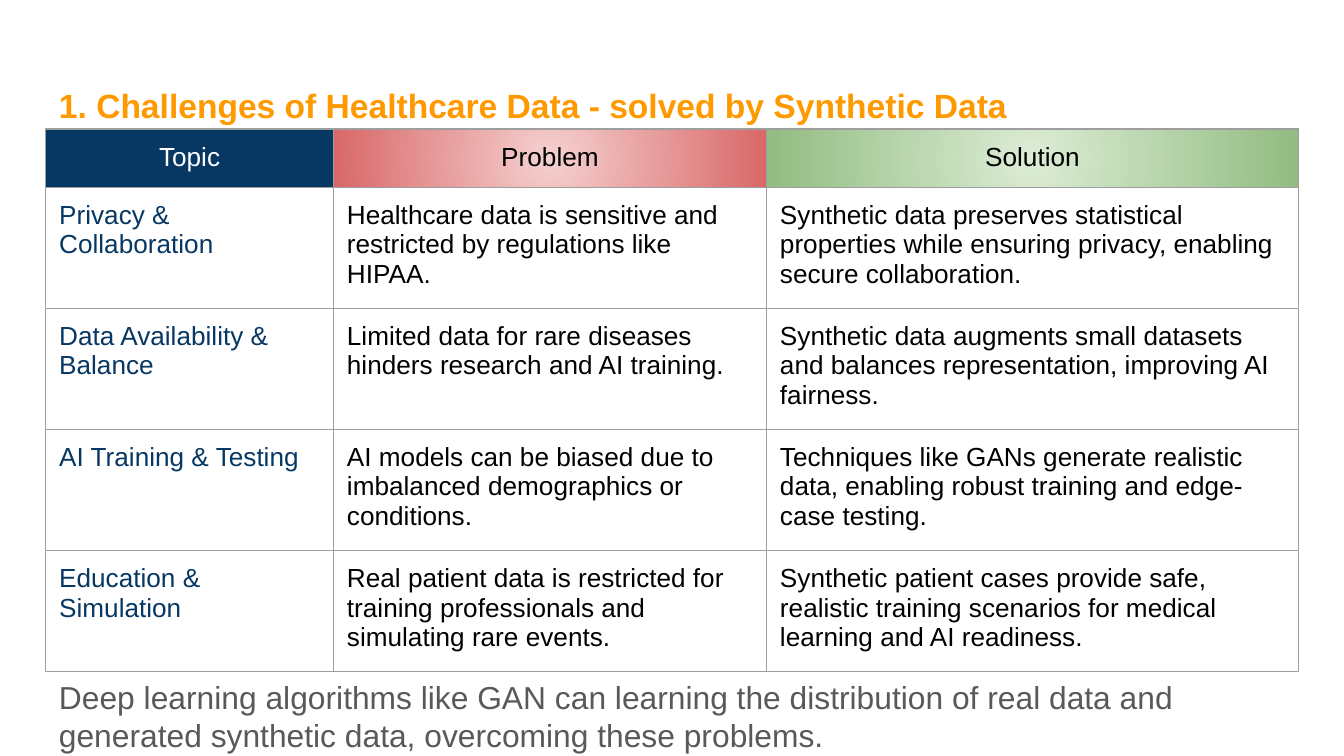
from pptx import Presentation
from pptx.dml.color import RGBColor
from pptx.enum.text import PP_ALIGN
from pptx.oxml import parse_xml
from pptx.oxml.ns import nsdecls
from pptx.util import Pt

NAVY = "073763"
BLACK = "000000"
BORDER = "9E9E9E"
INSET = Pt(7.2)


def add_text(text_frame, text, size, color, bold=False):
    """Write one run in the first paragraph and return that paragraph."""
    text_frame.word_wrap = True
    text_frame.margin_left = text_frame.margin_right = INSET
    text_frame.margin_top = text_frame.margin_bottom = INSET
    paragraph = text_frame.paragraphs[0]
    run = paragraph.add_run()
    run.text = text
    run.font.name = "Arial"
    run.font.size = Pt(size)
    run.font.bold = bold
    run.font.color.rgb = RGBColor.from_string(color)
    return paragraph


def style_cell(cell, fill):
    """Draw the borders, then fill with None, one colour or (centre, edge)."""
    properties = cell._tc.get_or_add_tcPr()
    for side in ("lnL", "lnR", "lnT", "lnB"):
        properties.append(parse_xml(
            f'<a:{side} {nsdecls("a")} w="{Pt(0.75)}"><a:solidFill>'
            f'<a:srgbClr val="{BORDER}"/></a:solidFill></a:{side}>'))
    if fill is None:
        cell.fill.background()
    elif isinstance(fill, str):
        cell.fill.solid()
        cell.fill.fore_color.rgb = RGBColor.from_string(fill)
    else:
        center, edge = fill
        properties.append(parse_xml(
            f'<a:gradFill {nsdecls("a")}><a:gsLst>'
            f'<a:gs pos="0"><a:srgbClr val="{center}"/></a:gs>'
            f'<a:gs pos="100000"><a:srgbClr val="{edge}"/></a:gs></a:gsLst>'
            '<a:path path="circle"><a:fillToRect l="50000" t="50000" '
            'r="50000" b="50000"/></a:path></a:gradFill>'))


presentation = Presentation()
presentation.slide_width = Pt(720)
presentation.slide_height = Pt(405)
slide = presentation.slides.add_slide(presentation.slide_layouts[6])

# Title
title = slide.shapes.add_textbox(Pt(24.5), Pt(35.3), Pt(671), Pt(45.4))
paragraph = add_text(title.text_frame,
                     "1. Challenges of Healthcare Data - solved by Synthetic Data",
                     18, "FF9900", bold=True)
paragraph.line_spacing = 1.15

# Table of challenges
rows = [
    ("Topic", "Problem", "Solution"),
    ("Privacy & Collaboration",
     "Healthcare data is sensitive and restricted by regulations like HIPAA.",
     "Synthetic data preserves statistical properties while ensuring privacy, "
     "enabling secure collaboration."),
    ("Data Availability & Balance",
     "Limited data for rare diseases hinders research and AI training.",
     "Synthetic data augments small datasets and balances representation, "
     "improving AI fairness."),
    ("AI Training & Testing",
     "AI models can be biased due to imbalanced demographics or conditions.",
     "Techniques like GANs generate realistic data, enabling robust training "
     "and edge-case testing."),
    ("Education & Simulation",
     "Real patient data is restricted for training professionals and "
     "simulating rare events.",
     "Synthetic patient cases provide safe, realistic training scenarios for "
     "medical learning and AI readiness."),
]
header_fills = [NAVY, ("F5D0D0", "D96868"), ("DCECD5", "92BC81")]
header_colors = ["FFFFFF", BLACK, BLACK]
body_colors = [NAVY, BLACK, BLACK]
column_widths = [154.2, 232, 285]
row_heights = [30.3] + [63.35] * 4

table = slide.shapes.add_table(len(rows), len(column_widths), Pt(24.5), Pt(69.1),
                               Pt(sum(column_widths)), Pt(sum(row_heights))).table
table.first_row = False
table.horz_banding = False
for column, width in zip(table.columns, column_widths):
    column.width = Pt(width)
for row, height in zip(table.rows, row_heights):
    row.height = Pt(height)

for row_index, texts in enumerate(rows):
    is_header = row_index == 0
    colors = header_colors if is_header else body_colors
    for column_index, text in enumerate(texts):
        cell = table.cell(row_index, column_index)
        cell.margin_left = cell.margin_right = INSET
        cell.margin_top = cell.margin_bottom = INSET
        paragraph = cell.text_frame.paragraphs[0]
        run = paragraph.add_run()
        run.text = text
        run.font.name = "Arial"
        run.font.size = Pt(14)
        run.font.color.rgb = RGBColor.from_string(colors[column_index])
        if is_header:
            paragraph.alignment = PP_ALIGN.CENTER
        style_cell(cell, header_fills[column_index] if is_header else None)

# Closing remark
remark = slide.shapes.add_textbox(Pt(24.5), Pt(355.7), Pt(684.7), Pt(55.4))
add_text(remark.text_frame,
         "Deep learning algorithms like GAN can learning the distribution of real "
         "data and generated synthetic data, overcoming these problems.",
         17, "595959")

presentation.save("out.pptx")
